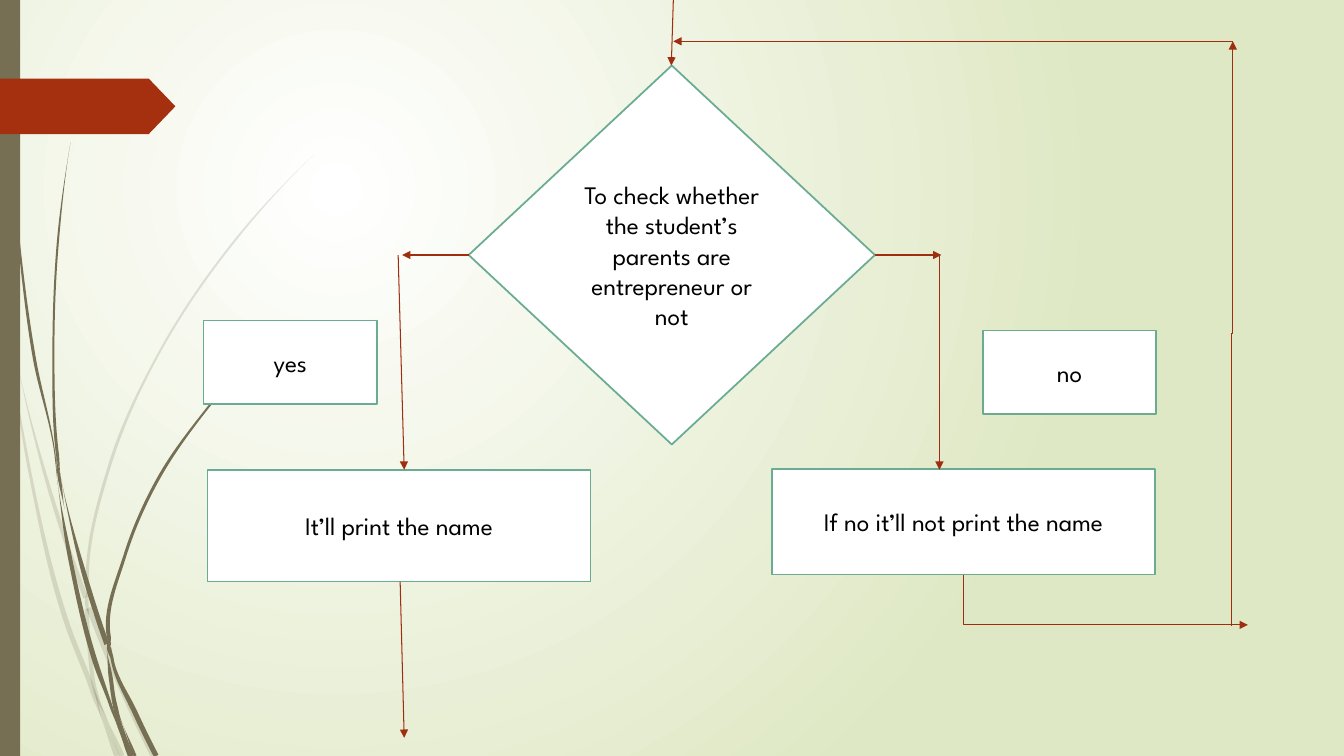
import math
from dataclasses import dataclass

from lxml import etree
from pptx import Presentation
from pptx.dml.color import RGBColor
from pptx.enum.shapes import MSO_CONNECTOR, MSO_SHAPE
from pptx.enum.text import MSO_ANCHOR, PP_ALIGN
from pptx.oxml.ns import qn
from pptx.util import Emu, Inches, Pt

RECT, DIAMOND, TAG = MSO_SHAPE.RECTANGLE, MSO_SHAPE.DIAMOND, MSO_SHAPE.PENTAGON
STRAIGHT, ELBOW = MSO_CONNECTOR.STRAIGHT, MSO_CONNECTOR.ELBOW
MIDDLE, CENTER = MSO_ANCHOR.MIDDLE, PP_ALIGN.CENTER

COLS, ROWS = 40 / 3, 7.5  # grid of square cells, one inch each
CELL = Inches(1)
FONT = "League Spartan"
COLORS = {
    "glow": "FFFFFF", "meadow": "DFE8C4", "stem": "766F54", "tag": "A53010",
    "box": "FFFFFF", "border": "6AAC91", "arrow": "9E2E0F", "text": "000000",
}


@dataclass(frozen=True)
class Step:
    """One flowchart box, placed in grid cells."""
    text: str
    left: float
    top: float
    width: float
    height: float
    kind: int = RECT


@dataclass(frozen=True)
class Arrow:
    """A straight arrow between two grid points."""
    x1: float
    y1: float
    x2: float
    y2: float


@dataclass(frozen=True)
class Bend:
    """An elbow arrow that leaves its start vertically."""
    route: Arrow
    preset: str
    turns: dict


# Grass blades as (x, y, thickness) knots along the centre of each piece.
FAINT_BLADES = [
    [(0, 2.9, .15), (.06, 3.2, .05), (.11, 3.5, 0)],
    [(.14, 3.45, 0), (.6, 5.21, .04), (.85, 5.93, .05)],
    [(.88, 6.03, .05), (1.25, 6.93, .05), (1.52, 7.5, .05)],
    [(1.05, 7.11, 0), (1.21, 7.5, .05)],
    [(.11, 3.5, 0), (.3, 4.7, .03), (.67, 6.2, .05), (.93, 6.88, .05), (1.01, 7.14, 0)],
    [(.86, 6.04, .04), (.89, 6.46, .04), (.95, 6.87, .04), (1.05, 7.11, 0)],
    [(3.12, 1.53, 0), (2.28, 2.45, .02), (1.59, 3.48, .02), (1.09, 4.61, .03),
     (.87, 5.84, .03), (.88, 5.96, 0)],
    [(1.01, 7.14, 0), (1.16, 7.5, .05)],
    [(.86, 5.86, 0), (.86, 5.98, .04), (.88, 6.1, 0)],
    [(.93, 6.83, 0), (1.02, 7.09, .05), (1.19, 7.5, 0)],
]
DARK_BLADES = [
    [(.04, 0, .01), (.08, 1.1, .01), (.18, 2.33, .02), (.34, 3.55, .03),
     (.55, 4.55, .01), (.57, 4.81, 0)],
    [(.6, 4.72, 0), (.9, 5.91, .05), (1.06, 6.39, .05)],
    [(1.1, 6.41, 0), (1.11, 6.52, .03), (1.34, 7.07, .05), (1.55, 7.5, .05)],
    [(.57, 4.77, 0), (.7, 5.56, .04), (.95, 6.58, .05), (1.1, 7, .03), (1.17, 7.22, 0)],
    [(.7, 1.41, 0), (.57, 2.45, .02), (.53, 3.49, .02), (.57, 4.51, .03), (.6, 4.72, 0)],
    [(1.22, 7.19, 0), (1.34, 7.5, .03)],
    [(.55, 4.49, 0), (.59, 4.75, .03), (.64, 5.05, 0)],
    [(2.6, 3.44, 0), (2.05, 4.06, .02), (1.57, 4.75, .03), (1.24, 5.51, .03),
     (1.08, 6.32, .04), (1.1, 6.41, 0)],
    [(1.17, 7.22, 0), (1.29, 7.5, .04)],
    [(1.06, 6.45, 0), (1.1, 6.73, .04), (1.14, 6.98, .04), (1.22, 7.19, 0)],
    [(1.07, 6.31, 0), (1.08, 6.43, .04), (1.11, 6.56, 0)],
    [(1.1, 6.91, 0), (1.19, 7.2, .05), (1.31, 7.5, .04)],
]
STEPS = [
    Step("To check whether the student’s parents are entrepreneur or not",
         4.65, .65, 4.03, 3.76, DIAMOND),
    Step("It’ll print the name", 2.06, 4.66, 3.8, 1.11),
    Step("If no it’ll not print the name", 7.66, 4.65, 3.8, 1.05),
    Step("yes", 2.02, 3.18, 1.72, .83),
    Step("no", 9.75, 3.28, 1.72, .83),
]
ARROWS = [
    Arrow(4.65, 2.53, 3.99, 2.53), Arrow(3.95, 2.53, 4.01, 4.66),
    Arrow(8.68, 2.53, 9.34, 2.53), Arrow(9.32, 2.53, 9.32, 4.66),
    Arrow(6.68, 0, 6.66, .65), Arrow(12.23, .41, 6.68, .41),
    Arrow(3.97, 5.77, 4.01, 7.32),
]
BENDS = [
    Bend(Arrow(9.56, 5.7, 12.38, 6.2), "bentConnector2",
         {"rot": "16200000", "flipH": "1"}),
    Bend(Arrow(12.22, 6.21, 12.23, .41), "bentConnector3",
         {"rot": "5400000", "flipH": "1", "flipV": "1"}),
]


def grid(n: float) -> Emu:
    """Turn grid cells into a length."""
    return Emu(round(n * CELL))


def rgb(name: str) -> RGBColor:
    """Look up a named colour."""
    return RGBColor.from_string(COLORS[name])


def paint(sp, fill: str, line: str = "") -> None:
    """Give a shape a flat fill and an optional border."""
    sp.shadow.inherit = False
    sp.fill.solid()
    sp.fill.fore_color.rgb = rgb(fill)
    if line:
        sp.line.color.rgb = rgb(line)
        sp.line.width = Pt(1.25)
    else:
        sp.line.fill.background()


def add_background(s) -> None:
    """Fill the slide with a radial glow."""
    fill = s.background.fill
    fill.gradient()
    for stop, name in zip(fill.gradient_stops, ("glow", "meadow")):
        stop.color.rgb = rgb(name)
    grad = s.element.find(".//" + qn("a:gradFill"))
    grad.remove(grad.find(qn("a:lin")))
    circle = etree.SubElement(grad, qn("a:path"), path="circle")
    etree.SubElement(circle, qn("a:fillToRect"), l="50000", t="50000", r="100000", b="100000")


def headings(knots: list) -> list:
    """Find the direction of the curve at each knot, in radians."""
    legs = [(x1 - x0, y1 - y0) for (x0, y0, _), (x1, y1, _) in zip(knots, knots[1:])]
    turns = [math.atan2(dy, dx) for dx, dy in legs]
    sizes = [math.hypot(*leg) for leg in legs]
    inner = [(a * n + b * m) / (m + n)
             for a, b, m, n in zip(turns, turns[1:], sizes, sizes[1:])]
    if not inner:
        return turns * 2
    return [2 * turns[0] - inner[0], *inner, 2 * turns[-1] - inner[-1]]


def add_blade(s, knots: list, alpha: int) -> None:
    """Draw a tapered blade with curved sides around its centre knots."""
    angles = headings(knots)
    sides = [[(x - k * w / 2 * math.sin(a), y + k * w / 2 * math.cos(a), a)
              for (x, y, w), a in zip(knots, angles)] for k in (1, -1)]
    outline = sides[0] + sides[1][::-1]
    points = [(grid(x), grid(y)) for x, y, _ in outline]
    builder = s.shapes.build_freeform(*points[0])
    builder.add_line_segments(points[1:], close=True)
    sp = builder.convert_to_shape()
    paint(sp, "stem")
    edges = list(sp.element.iter(qn("a:lnTo")))
    for i, (edge, start, end) in enumerate(zip(edges, outline, outline[1:]), 1):
        if i == len(knots):
            continue
        (x0, y0, a0), (x1, y1, a1) = start, end
        reach = math.hypot(x1 - x0, y1 - y0) / 3 * (1 if i < len(knots) else -1)
        handles = [(x0 + reach * math.cos(a0), y0 + reach * math.sin(a0)),
                   (x1 - reach * math.cos(a1), y1 - reach * math.sin(a1))]
        edge.tag = qn("a:cubicBezTo")
        for n, (x, y) in enumerate(handles):
            edge.insert(n, etree.Element(
                qn("a:pt"), x=str(grid(x) - sp.left), y=str(grid(y) - sp.top)))
    color = sp.element.spPr.find(".//" + qn("a:srgbClr"))
    etree.SubElement(color, qn("a:alpha"), val=str(alpha * 1000))


def add_step(s, step: Step) -> None:
    """Draw a flowchart box with its centred text."""
    sp = s.shapes.add_shape(
        step.kind, *map(grid, (step.left, step.top, step.width, step.height)))
    paint(sp, "box", "border")
    tf = sp.text_frame
    tf.text, tf.word_wrap, tf.vertical_anchor = step.text, True, MIDDLE
    p = tf.paragraphs[0]
    p.alignment = CENTER
    font = p.runs[0].font
    font.name, font.size, font.color.rgb = FONT, Pt(18), rgb("text")


def add_arrow(s, a: Arrow, kind: int = STRAIGHT):
    """Draw a connector with a triangular head at its end."""
    c = s.shapes.add_connector(kind, *map(grid, (a.x1, a.y1, a.x2, a.y2)))
    c.line.color.rgb = rgb("arrow")
    c.line.width = Pt(.75)
    etree.SubElement(c.element.spPr.find(qn("a:ln")), qn("a:tailEnd"), type="triangle")
    etree.SubElement(c.element.spPr, qn("a:effectLst"))
    return c


def add_bend(s, bend: Bend) -> None:
    """Draw an elbow arrow turned about the middle of its route."""
    a = bend.route
    x, y = (a.x1 + a.x2) / 2, (a.y1 + a.y2) / 2
    w, h = abs(a.y2 - a.y1) / 2, abs(a.x2 - a.x1) / 2
    c = add_arrow(s, Arrow(x - w, y - h, x + w, y + h), ELBOW)
    c.element.spPr.find(qn("a:prstGeom")).set("prst", bend.preset)
    xfrm = c.element.spPr.find(qn("a:xfrm"))
    for key, value in bend.turns.items():
        xfrm.set(key, value)


prs = Presentation()
prs.slide_width, prs.slide_height = grid(COLS), grid(ROWS)
s = prs.slides.add_slide(prs.slide_layouts[6])
add_background(s)
for blades, alpha in ((FAINT_BLADES, 20), (DARK_BLADES, 100)):
    for knots in blades:
        add_blade(s, knots, alpha)
paint(s.shapes.add_shape(RECT, 0, 0, grid(.2), grid(ROWS)), "stem")
tag = s.shapes.add_shape(TAG, 0, grid(.78), grid(1.74), grid(.55))
tag.adjustments[0] = .48
paint(tag, "tag")
for draw, items in ((add_step, STEPS), (add_arrow, ARROWS), (add_bend, BENDS)):
    for item in items:
        draw(s, item)
prs.save("out.pptx")
